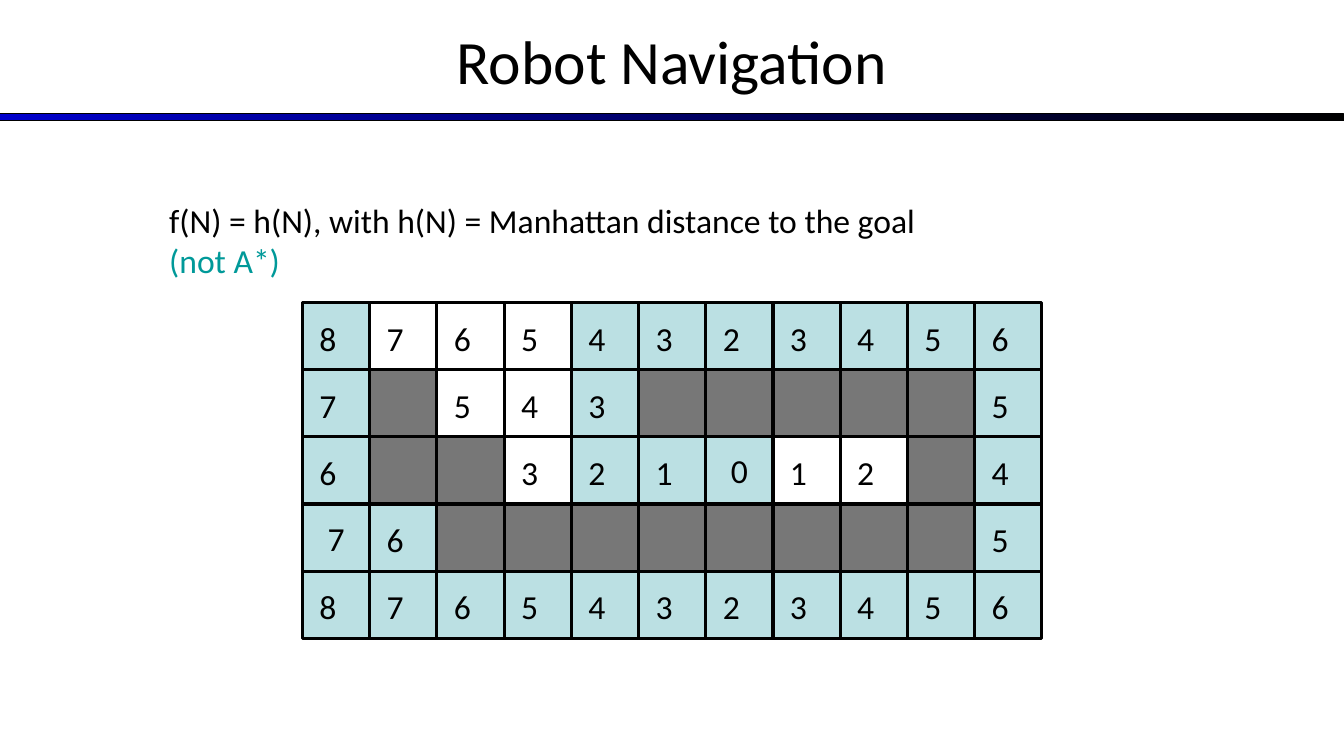
from pptx import Presentation
from pptx.dml.color import RGBColor
from pptx.enum import shapes, text
from pptx.oxml import ns, xmlchemy
from pptx.util import Inches, Pt

FONT = "Calibri"
BLACK, VISITED, WALL, TEAL = "000000", "BBE0E3", "777777", "009999"

# Distance to the goal in each cell; # is a wall
DISTANCES = [
    "87654323456",
    "7#543#####5",
    "6##321012#4",
    "76########5",
    "87654323456",
]
UNVISITED = {(0, 1), (0, 2), (0, 3), (1, 2), (1, 3), (2, 3), (2, 7), (2, 8)}
ROBOT, GOAL = (3, 0), (2, 6)

CELL = Inches(2) / 3
LEFT = TOP = Inches(3)
ROWS, COLUMNS = len(DISTANCES), len(DISTANCES[0])
RIGHT, BOTTOM = LEFT + COLUMNS * CELL, TOP + ROWS * CELL


def rgb(color):
    return RGBColor.from_string(color)


def format_text(paragraph, size, color=BLACK):
    for run in paragraph.runs:
        run.font.name = FONT
        run.font.size = Pt(size)
        run.font.color.rgb = rgb(color)


def add_box(slide, left, top, width, height, fill, weight):
    box = slide.shapes.add_shape(
        shapes.MSO_SHAPE.RECTANGLE, int(left), int(top), int(width), int(height))
    box.shadow.inherit = False
    if fill:
        box.fill.solid()
        box.fill.fore_color.rgb = rgb(fill)
    else:
        box.fill.background()
    box.line.color.rgb = rgb(BLACK)
    box.line.width = Pt(weight)
    return box


def add_cell(slide, row, column, fill, weight):
    return add_box(slide, LEFT + column * CELL, TOP + row * CELL,
                   CELL, CELL, fill, weight)


def add_grid_line(slide, x1, y1, x2, y2):
    grid_line = slide.shapes.add_connector(
        shapes.MSO_CONNECTOR.STRAIGHT, int(x1), int(y1), int(x2), int(y2))
    grid_line.line.color.rgb = rgb(BLACK)
    grid_line.line.width = Pt(2.25)
    properties = grid_line._element.spPr
    properties.append(xmlchemy.OxmlElement("a:effectLst"))


def add_label(slide, left, top, width, height, lines, wrap=False):
    label = slide.shapes.add_textbox(int(left), int(top), width, height)
    frame = label.text_frame
    frame.word_wrap = wrap
    frame.text = "\n".join(line for line, _ in lines)
    for paragraph, (_, color) in zip(frame.paragraphs, lines):
        format_text(paragraph, 24, color)


def add_marked_cell(slide, row, column):
    marked = add_cell(slide, row, column, VISITED, 2.25)
    frame = marked.text_frame
    frame.word_wrap = False
    frame.vertical_anchor = text.MSO_ANCHOR.MIDDLE
    frame.text = DISTANCES[row][column]
    frame.paragraphs[0].alignment = text.PP_ALIGN.CENTER
    format_text(frame.paragraphs[0], 24)


def add_title(slide, wording):
    title = slide.shapes.title
    title.left, title.top = Inches(0), Inches(-0.03)
    title.width, title.height = Inches(13.33), Inches(1.25)
    frame = title.text_frame
    frame.text = wording
    frame.auto_size = text.MSO_AUTO_SIZE.NONE
    frame.vertical_anchor = text.MSO_ANCHOR.MIDDLE
    frame.paragraphs[0].alignment = text.PP_ALIGN.CENTER
    format_text(frame.paragraphs[0], 44)


def add_title_rule(slide):
    rule = add_box(slide, 0, Inches(1.13), Inches(13.33), Inches(0.07), None, 0.75)
    rule.fill.gradient()
    rule.fill.gradient_angle = 0
    for stop, color in zip(rule.fill.gradient_stops, ("0000CC", BLACK)):
        stop.color.rgb = rgb(color)


def add_maze(slide):
    cells = [(row, column, mark) for row, marks in enumerate(DISTANCES)
             for column, mark in enumerate(marks)]
    marked = (ROBOT, GOAL)

    # Visited cells
    for row, column, mark in cells:
        if mark != "#" and (row, column) not in UNVISITED and (row, column) not in marked:
            add_cell(slide, row, column, VISITED, 0.75)

    # Frame and grid lines
    add_box(slide, LEFT, TOP, RIGHT - LEFT, BOTTOM - TOP, None, 2.25)
    for column in range(1, COLUMNS):
        x = LEFT + column * CELL
        add_grid_line(slide, x, TOP, x, BOTTOM)
    for row in range(1, ROWS):
        y = TOP + row * CELL
        add_grid_line(slide, LEFT, y, RIGHT, y)

    # Walls and distances
    for row, column, mark in cells:
        if mark == "#":
            add_cell(slide, row, column, WALL, 2.25)
        elif (row, column) not in marked:
            add_label(slide, LEFT + column * CELL + Inches(0.07),
                      TOP + row * CELL + Inches(0.1),
                      Inches(0.41), Inches(0.5), [(mark, BLACK)])

    # Robot and goal
    for row, column in marked:
        add_marked_cell(slide, row, column)


def main():
    deck = Presentation()
    deck.slide_width, deck.slide_height = Inches(13.33), Inches(7.5)
    slide = deck.slides.add_slide(deck.slide_layouts.get_by_name("Title Only"))

    add_title_rule(slide)
    add_title(slide, "Robot Navigation")
    add_maze(slide)

    # Evaluation function
    add_label(slide, Inches(1.58), Inches(1.93), Inches(9.51), Inches(0.9), [
        ("f(N) = h(N), with h(N) = Manhattan distance to the goal", BLACK),
        ("(not A*)", TEAL),
    ], wrap=True)

    deck.save("out.pptx")


if __name__ == "__main__":
    main()
